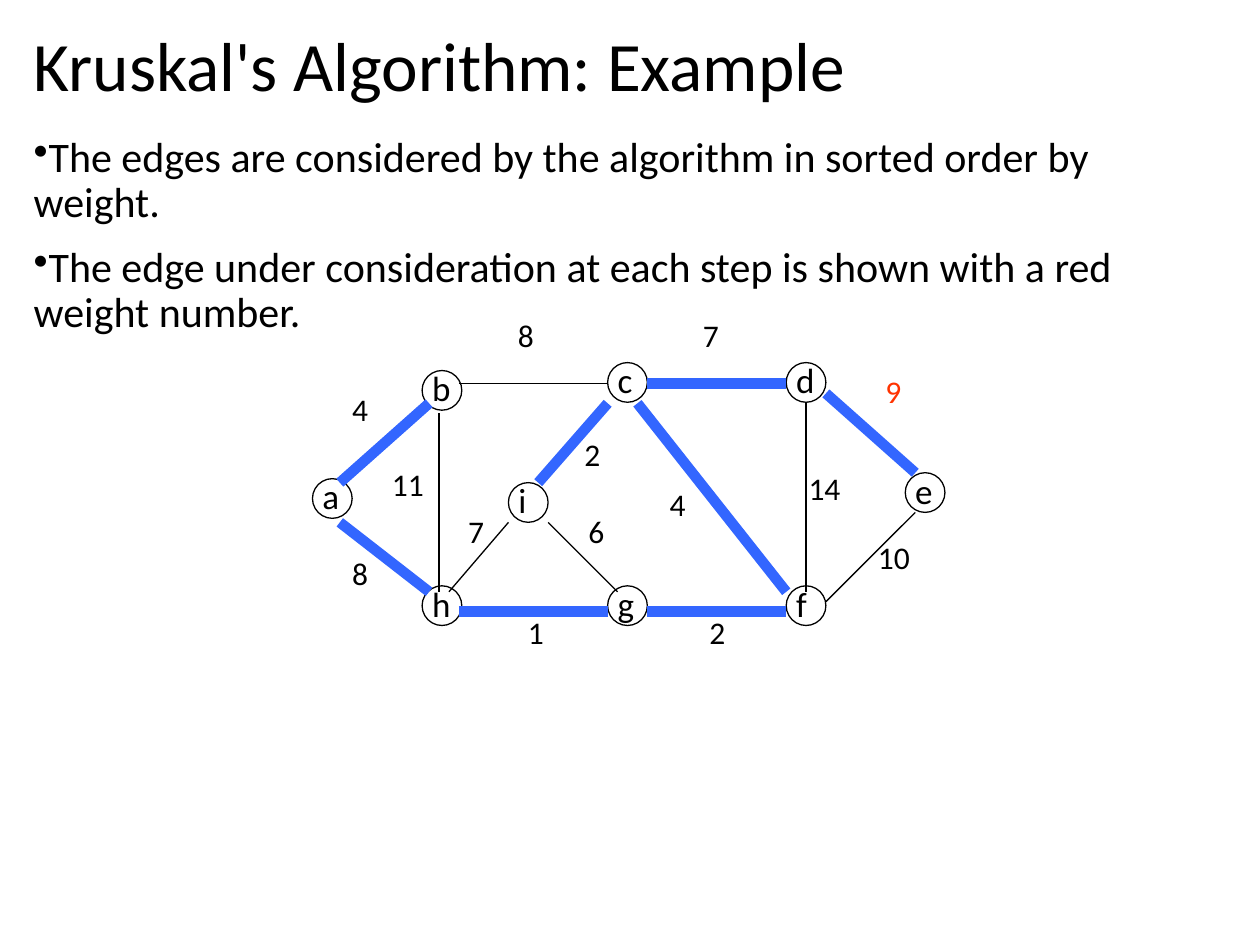
from pptx import Presentation
from pptx.dml.color import RGBColor
from pptx.enum.shapes import MSO_CONNECTOR, MSO_SHAPE
from pptx.enum.text import MSO_ANCHOR
from pptx.oxml.ns import qn
from pptx.util import Cm, Pt
from lxml.etree import SubElement

BLACK = RGBColor(0x00, 0x00, 0x00)
BLUE = RGBColor(0x33, 0x66, 0xFF)
RED = RGBColor(0xFF, 0x33, 0x00)
FONT = "Calibri"
NODE_SIZE = 0.8

POINTS = [
    "The edges are considered by the algorithm in sorted order by weight.",
    "The edge under consideration at each step is shown with a red weight number.",
]

NODES = {
    "a": (0.05, 3.32),
    "b": (2.26, 1.14),
    "h": (2.26, 5.48),
    "c": (6, 0.98),
    "d": (9.6, 0.98),
    "e": (12, 3.2),
    "f": (9.6, 5.48),
    "g": (6, 5.48),
    "i": (4, 3.4),
}

# weight, weight position, start, end, in tree
EDGES = [
    ("4", (0.6, 1.4), (0.6, 3.4), (2.4, 1.8), True),
    ("8", (0.6, 4.72), (0.6, 4.2), (2.4, 5.6), True),
    ("11", (1.4, 2.92), (2.6, 2), (2.6, 5.6), False),
    ("8", (3.94, -0.08), (3, 1.4), (6, 1.4), False),
    ("1", (4.14, 5.91), (3, 6), (6, 6), True),
    ("2", (7.8, 5.91), (6.8, 6), (9.6, 6), True),
    ("4", (7, 3.32), (6.6, 1.8), (9.6, 5.6), True),
    ("7", (7.67, -0.08), (6.8, 1.4), (9.6, 1.4), True),
    ("14", (9.8, 3), (10, 1.8), (10, 5.6), False),
    ("9", (11.35, 1.04), (10.4, 1.6), (12.2, 3.2), True),
    ("10", (11.2, 4.39), (10.4, 5.8), (12.2, 4), False),
    ("6", (5.36, 3.86), (4.8, 4.2), (6.2, 5.6), False),
    ("7", (2.94, 3.86), (2.8, 5.6), (4, 4.2), False),
    ("2", (5.28, 2.31), (4.6, 3.4), (6, 1.8), True),
]
CONSIDERED = "9"


def add_text(shapes, box, *lines, size, color=BLACK, anchor=MSO_ANCHOR.TOP,
             spacing=1.0, gap=0, bullet=None):
    frame = shapes.add_textbox(*map(Cm, box)).text_frame
    frame.word_wrap = True
    frame.vertical_anchor = anchor
    for index, line in enumerate(lines):
        para = frame.add_paragraph() if index else frame.paragraphs[0]
        para.line_spacing = spacing
        para.space_before = Pt(gap if index else 0)
        if bullet:
            properties = para._p.get_or_add_pPr()
            properties.set("marL", "0")
            properties.set("indent", "0")
            SubElement(properties, qn("a:buChar")).set("char", bullet)
        span = para.add_run()
        span.text = line
        span.font.name = FONT
        span.font.size = Pt(size)
        span.font.color.rgb = color


def add_heading(page, box):
    add_text(page.shapes, box, "Kruskal's Algorithm: Example",
             size=39.6, anchor=MSO_ANCHOR.MIDDLE, spacing=0.9)


def add_points(page, box):
    add_text(page.shapes, box, *POINTS, size=24, spacing=0.9, gap=11, bullet="•")


def add_node(shapes, name, left, top):
    add_text(shapes, (left - 0.05, top - 0.2, 0.86, 1.09), name, size=20)
    circle = shapes.add_shape(MSO_SHAPE.OVAL, Cm(left), Cm(top), Cm(NODE_SIZE), Cm(NODE_SIZE))
    circle.shadow.inherit = False
    circle.fill.background()
    circle.line.color.rgb = BLACK
    circle.line.width = Pt(0.75)


def add_edge(shapes, start, end, in_tree):
    edge = shapes.add_connector(MSO_CONNECTOR.STRAIGHT, *map(Cm, start + end))
    edge.line.color.rgb = BLUE if in_tree else BLACK
    edge.line.width = Pt(6 if in_tree else 0.75)
    SubElement(edge._element.spPr, qn("a:effectLst"))


def add_graph(page, box):
    left, top = box
    shapes = page.shapes.add_group_shape().shapes

    def place(point):
        return left + point[0], top + point[1]

    for name, corner in NODES.items():
        add_node(shapes, name, *place(corner))
    for weight, corner, start, end, in_tree in EDGES:
        add_edge(shapes, place(start), place(end), in_tree)
    for weight, corner, *rest in EDGES:
        width = 0.94 if len(weight) == 1 else 1.35
        add_text(shapes, (*place(corner), width, 1.27), weight, size=18,
                 color=RED if weight == CONSIDERED else BLACK)


def main():
    deck = Presentation()
    deck.slide_width, deck.slide_height = Cm(25.4), Cm(19.05)
    page = deck.slides.add_slide(deck.slide_layouts[6])
    add_heading(page, (0.43, 0.46, 24.43, 1.88))
    add_points(page, (0.43, 2.62, 24.43, 14.55))
    add_graph(page, (6.25, 6.33))
    deck.save("out.pptx")


if __name__ == "__main__":
    main()
